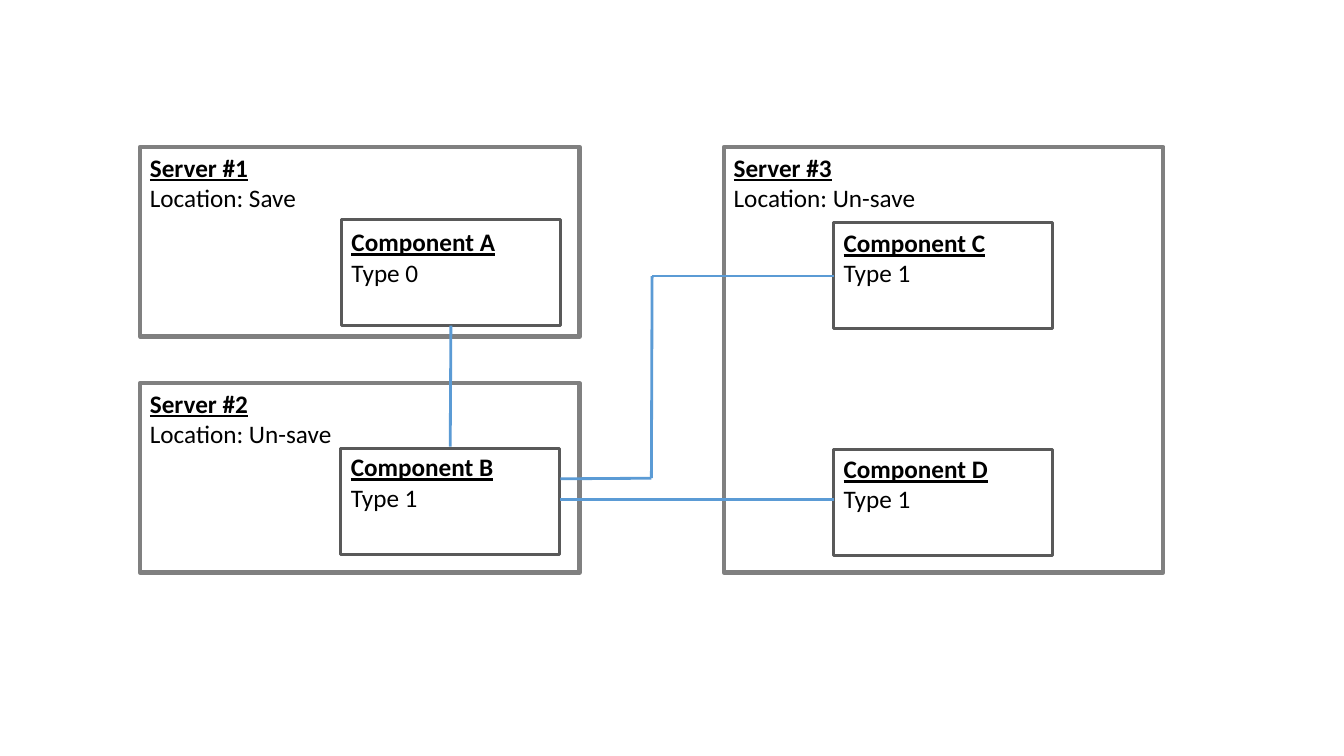
from dataclasses import dataclass
from itertools import pairwise

from lxml.etree import SubElement
from pptx import Presentation
from pptx.dml.color import RGBColor as RGB
from pptx.enum.shapes import MSO_CONNECTOR as Conn, MSO_SHAPE as Shape
from pptx.enum.text import MSO_AUTO_SIZE as Fit
from pptx.oxml.ns import qn
from pptx.util import Pt


@dataclass(frozen=True)
class Theme:
    font: str = "Calibri"
    size: float = 18
    ink: RGB = RGB(0, 0, 0)
    paper: RGB = RGB(255, 255, 255)
    outer: RGB = RGB(0x80, 0x80, 0x80)
    inner: RGB = RGB(0x59, 0x59, 0x59)
    link: RGB = RGB(0x5B, 0x9B, 0xD5)


THEME = Theme()
UNIT_W, UNIT_H = 156.2, 75.6
LABEL_H = 51


def add_text(para, text, size=THEME.size, color=THEME.ink, bold=False, under=False):
    run = para.add_run()
    run.text = text
    font = run.font
    font.name, font.size = THEME.font, Pt(size)
    font.bold, font.underline = bold, under
    font.color.rgb = color


def add_frame(shapes, box, color, width, fill=None):
    rect = shapes.add_shape(Shape.RECTANGLE, *map(Pt, box))
    rect.shadow.inherit = False
    if fill is None:
        rect.fill.background()
    else:
        rect.fill.solid()
        rect.fill.fore_color.rgb = fill
    rect.line.color.rgb, rect.line.width = color, Pt(width)


def add_label(shapes, box, name, note):
    frame = shapes.add_textbox(*map(Pt, box)).text_frame
    frame.word_wrap = True
    frame.auto_size = Fit.SHAPE_TO_FIT_TEXT
    add_text(frame.paragraphs[0], name, bold=True, under=True)
    add_text(frame.add_paragraph(), note)


def add_server(slide, box, name, place):
    left, top, _, _ = box
    add_frame(slide.shapes, box, THEME.outer, 3, fill=THEME.paper)
    add_label(slide.shapes, (left, top, 177, LABEL_H), name, f"Location: {place}")


def add_unit(slide, box, name, kind, shift):
    """Group a component frame with its label, moved down by shift."""
    left, top, width, _ = box
    shapes = slide.shapes.add_group_shape().shapes
    add_frame(shapes, box, THEME.inner, 2)
    add_label(shapes, (left, top + shift, width, LABEL_H), name, f"Type {kind}")


def add_link(slide, points):
    """Join the points with straight lines."""
    for start, end in pairwise(points):
        line = slide.shapes.add_connector(Conn.STRAIGHT, *map(Pt, start + end))
        line.line.color.rgb, line.line.width = THEME.link, Pt(2)
        SubElement(line._element.spPr, qn("a:effectLst"))


def add_diagram(slide, box):
    left, top, width, height = box
    wide, low = 314, 135.4
    right, base = left + width - wide, top + height - low

    # Servers
    add_server(slide, (right, top, wide, height), "Server #3", "Un-save")
    add_server(slide, (left, top, wide, low), "Server #1", "Save")
    add_server(slide, (left, base, wide, low), "Server #2", "Un-save")

    # Components
    near, far = left + 144, right + 78.5
    for name, x, y, kind, shift in (
        ("A", near, top + 52, 0, 1.4),
        ("B", near - 0.5, base + 46.8, 1, -1.4),
        ("C", far, top + 54, 1, 0),
        ("D", far, base + 47.5, 1, -0.7),
    ):
        add_unit(slide, (x, y, UNIT_W, UNIT_H), f"Component {name}", kind, shift)

    # Links between components
    edge, bend = near + UNIT_W, left + 365.3
    mid = near + UNIT_W / 2
    exit_c, row_c, row_d = top + 236.6, top + 92.2, top + 252
    add_link(slide, [(edge, row_d), (far, row_d)])
    add_link(slide, [(mid, top + 127.6), (mid - 0.5, base + 45.4)])
    add_link(slide, [(edge, exit_c + 0.4), (bend, exit_c), (bend + 0.5, row_c), (far, row_c)])


def main():
    deck = Presentation()
    deck.slide_width, deck.slide_height = Pt(960), Pt(540)
    slide = deck.slides.add_slide(deck.slide_layouts[6])
    add_diagram(slide, (100, 105, 731, 304))
    deck.save("out.pptx")


if __name__ == "__main__":
    main()
